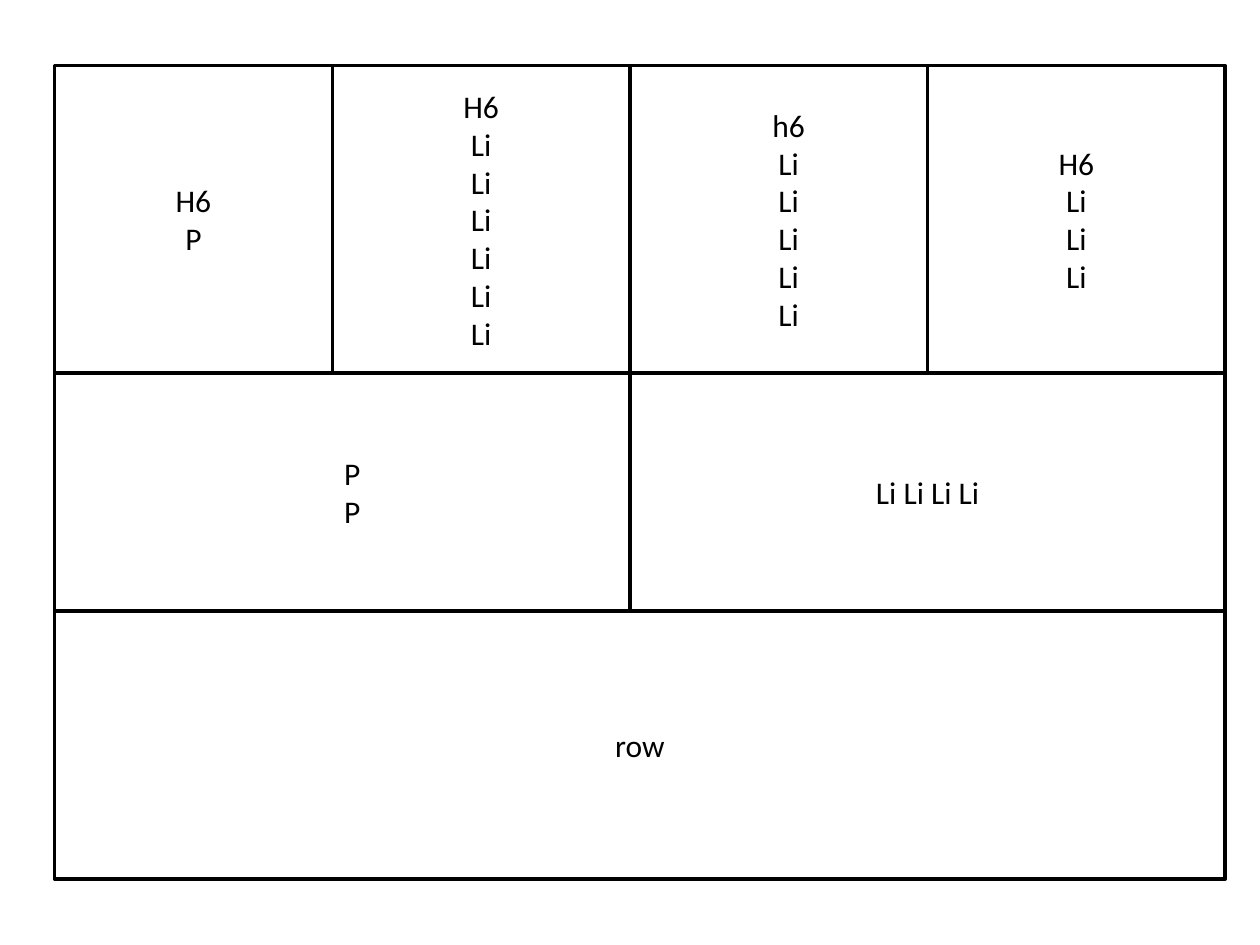
from dataclasses import dataclass

from pptx import Presentation
from pptx.dml.color import RGBColor
from pptx.enum.shapes import MSO_SHAPE
from pptx.enum.text import MSO_ANCHOR, PP_ALIGN
from pptx.util import Cm, Pt


@dataclass(frozen=True)
class Theme:
    font: str = "Calibri"
    text_size: float = 18
    line_width: float = 2
    ink: RGBColor = RGBColor(0, 0, 0)
    paper: RGBColor = RGBColor(255, 255, 255)


class Wireframe:
    def __init__(self, slide, theme):
        self.slide = slide
        self.theme = theme

    def block(self, left, top, width, height, labels):
        block = self.slide.shapes.add_shape(
            MSO_SHAPE.RECTANGLE, Cm(left), Cm(top), Cm(width), Cm(height)
        )
        block.shadow.inherit = False
        block.fill.solid()
        block.fill.fore_color.rgb = self.theme.paper
        block.line.color.rgb = self.theme.ink
        block.line.width = Pt(self.theme.line_width)
        self.add_labels(block.text_frame, labels)

    def add_labels(self, frame, labels):
        frame.word_wrap = True
        frame.vertical_anchor = MSO_ANCHOR.MIDDLE
        for index, label in enumerate(labels):
            paragraph = frame.add_paragraph() if index else frame.paragraphs[0]
            paragraph.alignment = PP_ALIGN.CENTER
            run = paragraph.add_run()
            run.text = label
            run.font.name = self.theme.font
            run.font.size = Pt(self.theme.text_size)
            run.font.color.rgb = self.theme.ink


def main():
    presentation = Presentation()
    presentation.slide_width, presentation.slide_height = Cm(25.4), Cm(19.05)
    slide = presentation.slides.add_slide(presentation.slide_layouts[6])
    wireframe = Wireframe(slide, Theme())

    left, middle, right = 1.1, 12.7, 24.7
    columns_top, columns_height = 1.32, 6.2
    halves_top, halves_height = columns_top + columns_height, 4.8
    row_top, row_height = halves_top + halves_height, 5.4

    columns = [
        (left, 5.6, ["H6", "P"]),
        (6.7, 6, ["H6"] + ["Li"] * 6),
        (middle, 6.4, ["h6"] + ["Li"] * 5),
        (18.7, 6, ["H6"] + ["Li"] * 3),
    ]
    for column_left, width, labels in columns:
        wireframe.block(column_left, columns_top, width, columns_height, labels)

    wireframe.block(left, row_top, right - left, row_height, ["row"])

    halves = [(left, ["P", "P"]), (middle, [" ".join(["Li"] * 4)])]
    for half_left, labels in halves:
        wireframe.block(half_left, halves_top, 12, halves_height, labels)

    presentation.save("out.pptx")


if __name__ == "__main__":
    main()
